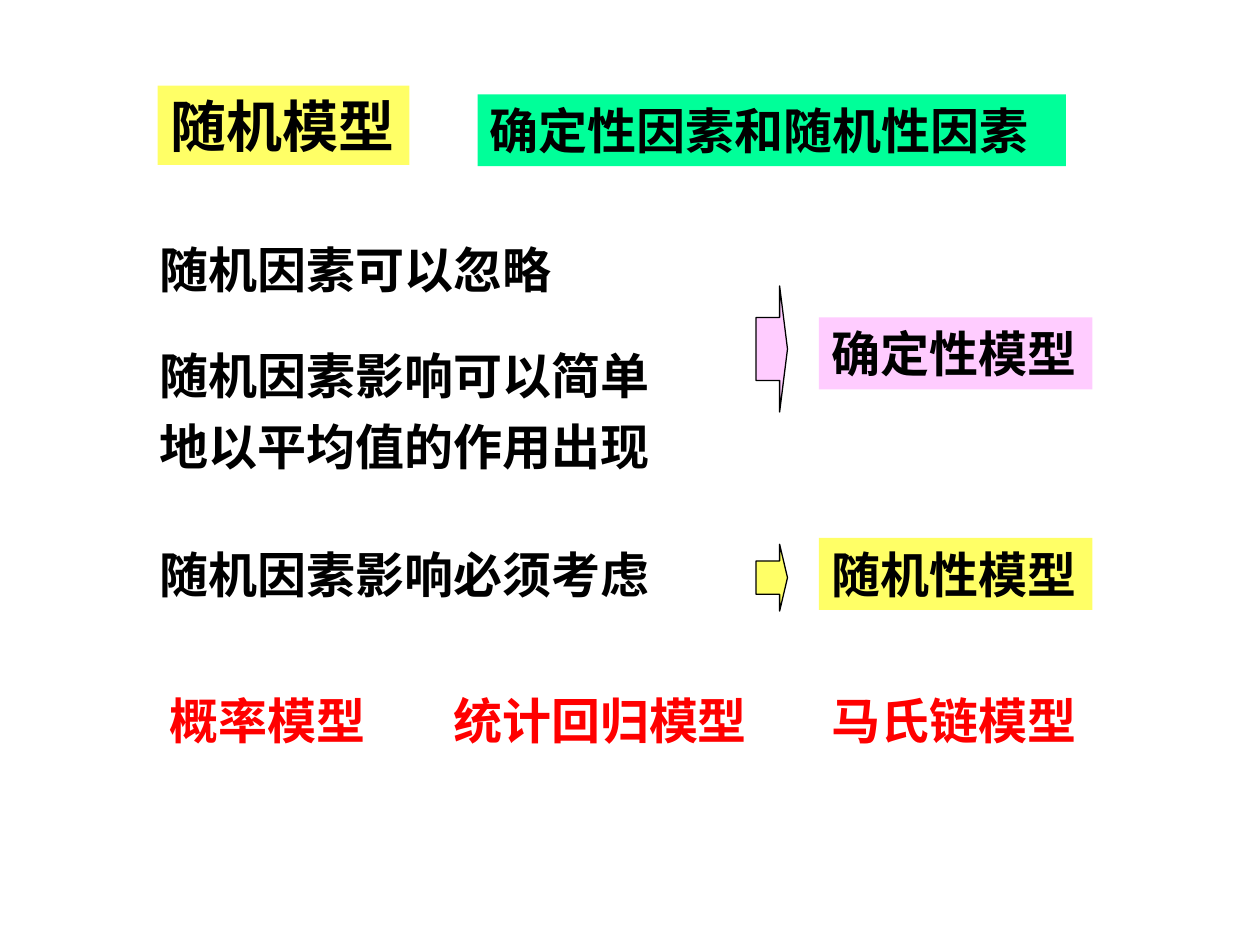
from pptx import Presentation
from pptx.dml.color import RGBColor
from pptx.enum import shapes, text
from pptx.util import Inches, Pt

BLACK = RGBColor(0x00, 0x00, 0x00)
RED = RGBColor(0xFF, 0x00, 0x00)
GREEN = RGBColor(0x00, 0xFF, 0x99)
YELLOW = RGBColor(0xFF, 0xFF, 0x66)
PINK = RGBColor(0xFF, 0xCC, 0xFF)

LABEL_HEIGHT = 0.57
FACTOR_LEFT = 1.17
MODEL_LEFT = 6.5
ARROW_LEFT = 6
MODEL_TYPE_TOP = 5.43

FRAME_FORMAT = {
    "word_wrap": True,
    "auto_size": text.MSO_AUTO_SIZE.SHAPE_TO_FIT_TEXT,
    "vertical_anchor": text.MSO_ANCHOR.TOP,
}
TITLE_FRAME_FORMAT = {
    "auto_size": text.MSO_AUTO_SIZE.NONE,
    "vertical_anchor": text.MSO_ANCHOR.MIDDLE,
}
FONT_FORMAT = {"name": "Times New Roman", "bold": True}


def set_attributes(target, values):
    for name, value in values.items():
        setattr(target, name, value)


def place(shape, left, top, width, height):
    set_attributes(shape, {
        "left": Inches(left), "top": Inches(top),
        "width": Inches(width), "height": Inches(height),
    })


def fill_solid(shape, color):
    shape.fill.solid()
    shape.fill.fore_color.rgb = color


def write(shape, words, size=28, color=BLACK, line_spacing=1.0):
    frame = shape.text_frame
    frame.text = words
    set_attributes(frame, FRAME_FORMAT)
    paragraph = frame.paragraphs[0]
    set_attributes(paragraph, {"alignment": text.PP_ALIGN.LEFT,
                               "line_spacing": line_spacing})
    set_attributes(paragraph.font, {**FONT_FORMAT, "size": Pt(size)})
    paragraph.font.color.rgb = color


def add_title(slide, words):
    """Fill the title placeholder, which keeps a fixed height."""
    title = slide.shapes.title
    write(title, words, size=32)
    set_attributes(title.text_frame, TITLE_FRAME_FORMAT)
    place(title, 1.25, 0.68, 2, 0.63)
    fill_solid(title, YELLOW)


def add_text(slide, words, left, top, width, height=LABEL_HEIGHT, **style):
    box = slide.shapes.add_textbox(
        Inches(left), Inches(top), Inches(width), Inches(height))
    write(box, words, **style)


def add_filled_shape(parent, kind, box, color):
    shape = parent.shapes.add_shape(kind, *map(Inches, box))
    shape.shadow.inherit = False
    fill_solid(shape, color)
    shape.line.fill.background()
    return shape


def add_label(parent, words, left, top, width, color):
    label = add_filled_shape(parent, shapes.MSO_SHAPE.RECTANGLE,
                             (left, top, width, LABEL_HEIGHT), color)
    write(label, words)


def add_conclusion(slide, words, label_top, arrow_top, arrow_height, color):
    """Group a model label with the arrow that leads to it."""
    group = slide.shapes.add_group_shape()
    add_label(group, words, MODEL_LEFT, label_top, 2.17, color)
    arrow = add_filled_shape(group, shapes.MSO_SHAPE.RIGHT_ARROW,
                             (ARROW_LEFT, arrow_top, 0.25, arrow_height), color)
    arrow.adjustments[0] = 0.5
    arrow.adjustments[1] = 0.25
    arrow.line.color.rgb = BLACK
    arrow.line.width = Pt(0.75)


def main():
    presentation = Presentation()
    presentation.slide_width = Inches(10)
    presentation.slide_height = Inches(7.5)
    slide = presentation.slides.add_slide(presentation.slide_layouts[5])

    add_title(slide, "随机模型")
    add_label(slide, "确定性因素和随机性因素", 3.79, 0.75, 4.67, GREEN)

    add_text(slide, "随机因素可以忽略", FACTOR_LEFT, 1.85, 4.08)
    add_text(slide, "随机因素影响可以简单地以平均值的作用出现",
             FACTOR_LEFT, 2.6, 4.17, 1.22, line_spacing=1.2)
    add_text(slide, "随机因素影响必须考虑", FACTOR_LEFT, 4.27, 4.17)

    add_conclusion(slide, "确定性模型", 2.52, 2.27, 1, PINK)
    add_conclusion(slide, "随机性模型", 4.27, 4.32, 0.53, YELLOW)

    for words, left, width in (("概率模型", 1.25, 1.83),
                               ("统计回归模型", 3.5, 2.67),
                               ("马氏链模型", MODEL_LEFT, 2.25)):
        add_text(slide, words, left, MODEL_TYPE_TOP, width, color=RED)

    presentation.save("out.pptx")


if __name__ == "__main__":
    main()
